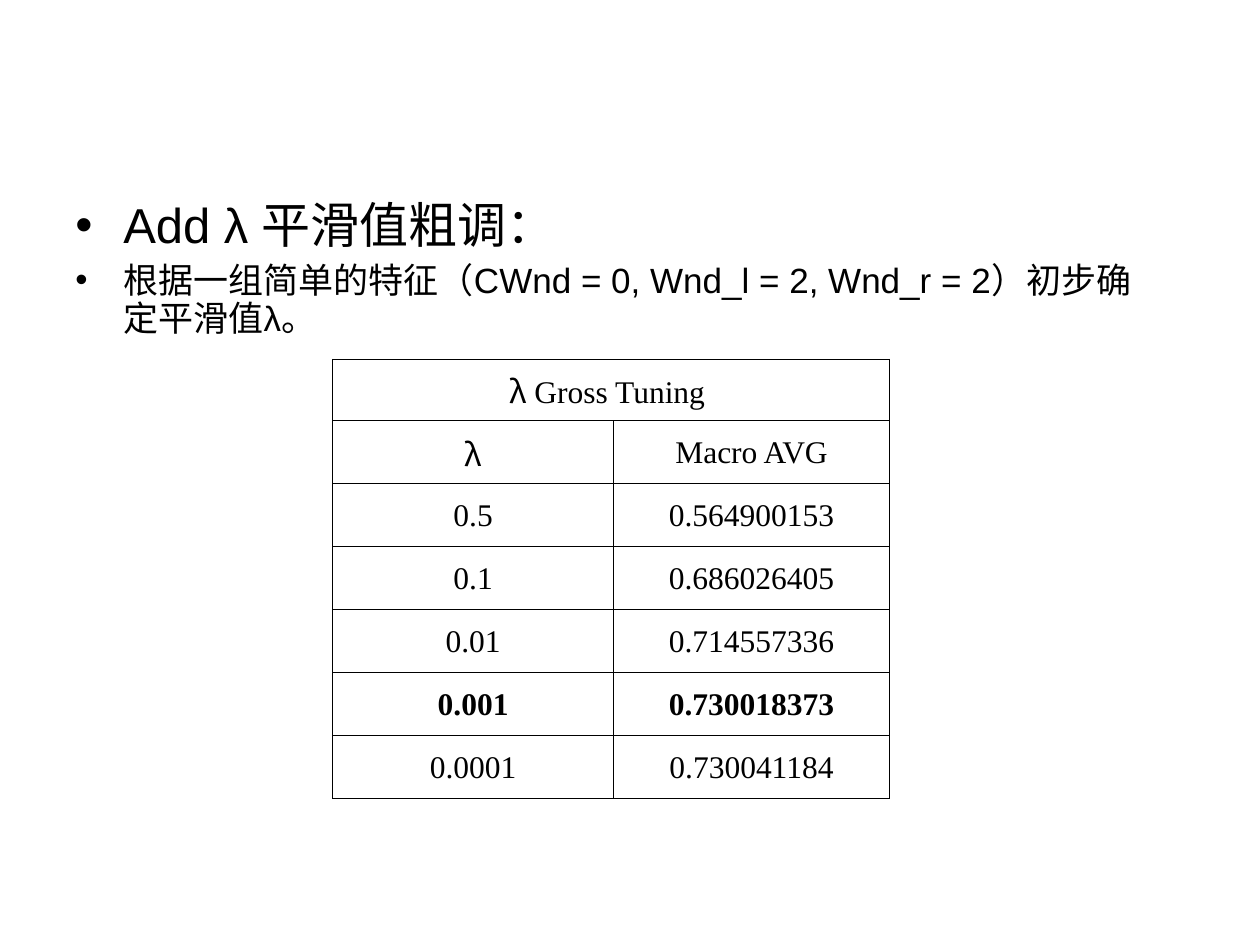
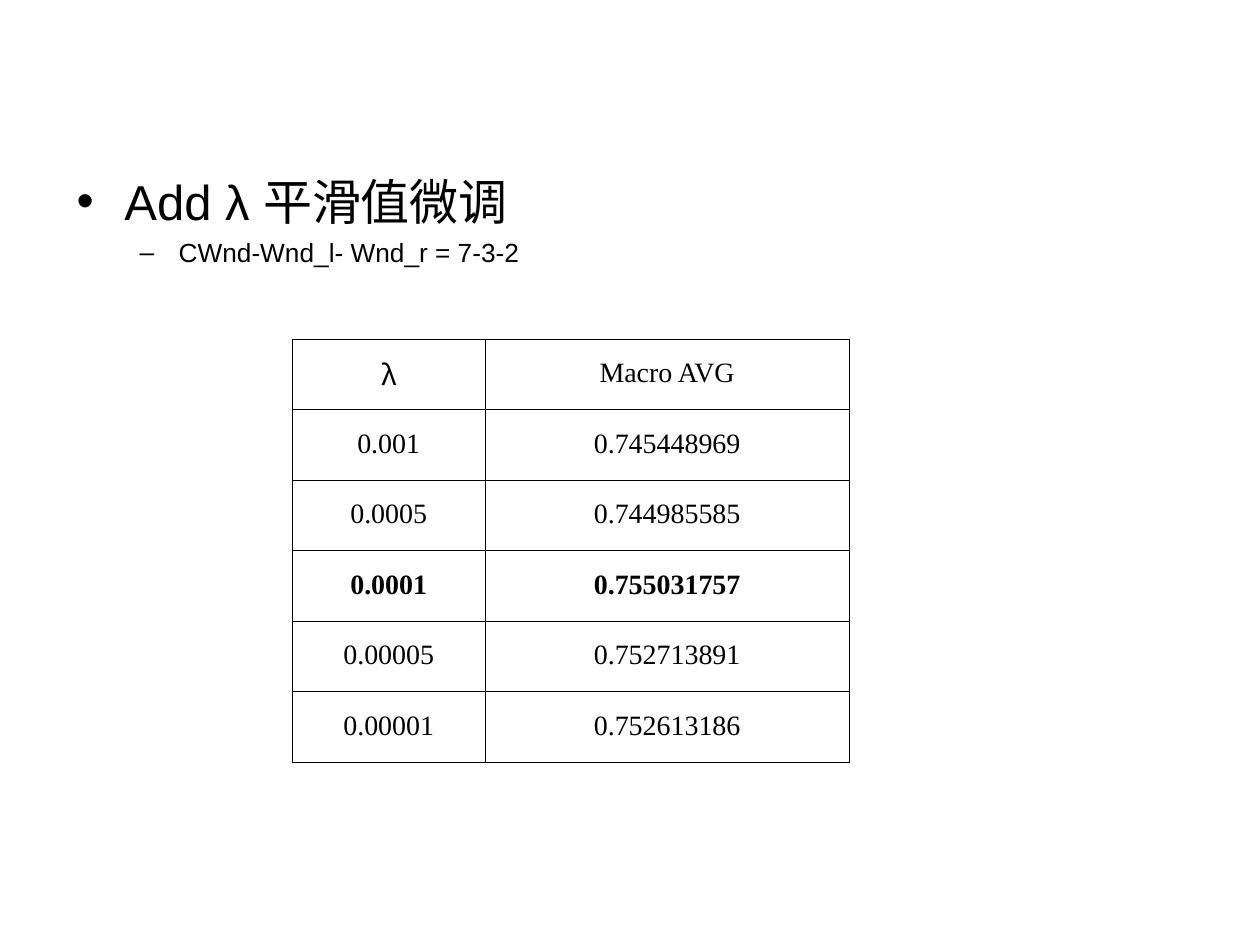
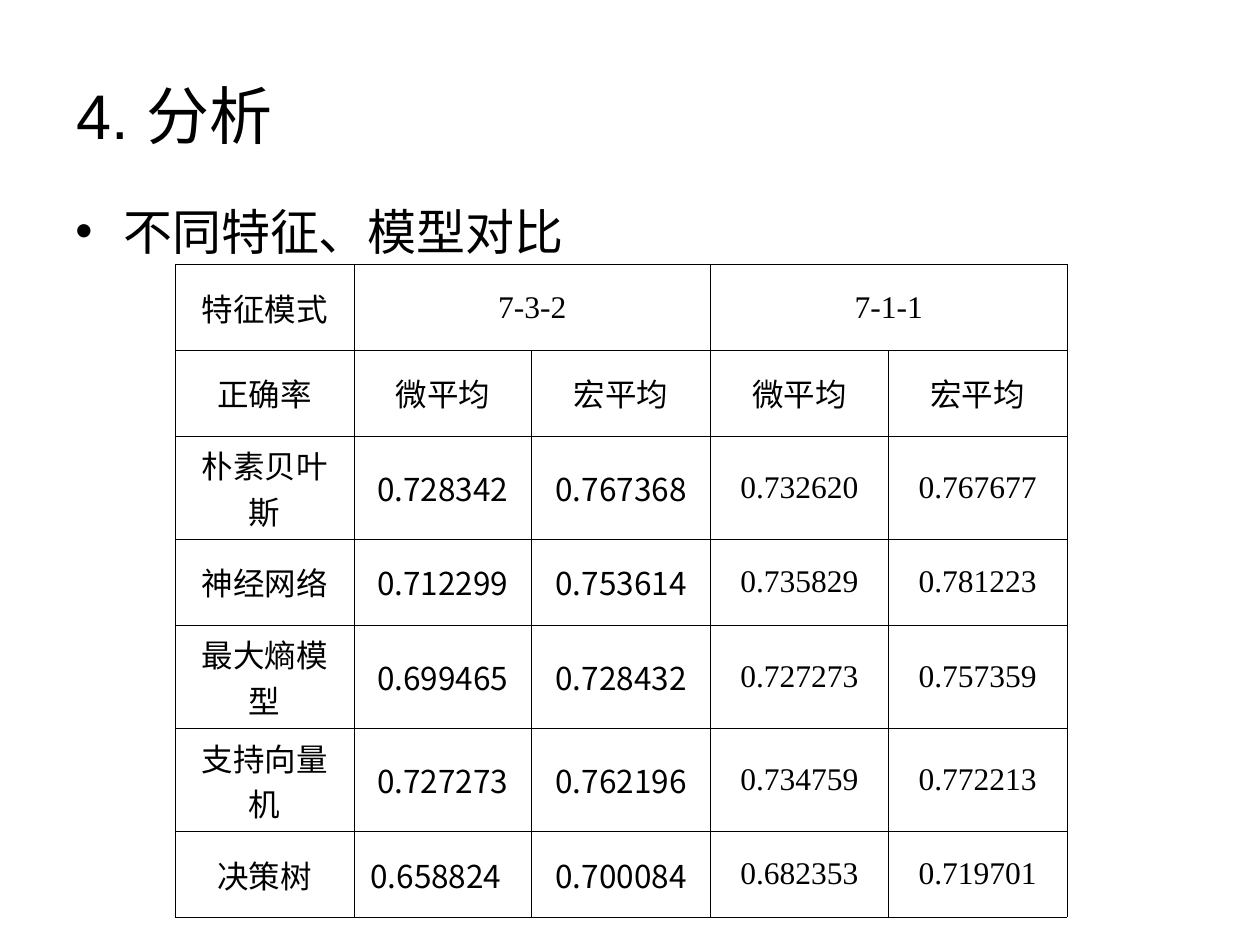
from lxml import etree
from pptx import Presentation
from pptx.dml.color import RGBColor
from pptx.enum import text
from pptx.oxml import ns
from pptx.util import Inches, Pt

COLORS = {"ink": "000000"}
SANS, SERIF, CJK = "Arial", "Times New Roman", "Noto Sans CJK SC"
BORDER_WIDTH = Pt(0.45)

# Bullet levels: character, left margin and hanging indent in inches
LEVELS = [("•", 0.38, -0.38), ("–", 0.81, -0.31)]

# Bullets: (text, level, size, space before)
# Tables: a None cell continues the merged cell on its left
SLIDES = [
    {
        "body": {
            "at": (0.5, 1.55, 8.75, 1.34),
            "line_spacing": 0.9,
            "bullets": [
                ("Add λ 平滑值粗调：", 0, 28, 0),
                ("根据一组简单的特征（CWnd = 0, Wnd_l = 2, Wnd_r = 2）初步确定平滑值λ。", 0, 20, 5),
            ],
        },
        "table": {
            "at": (2.64, 2.85),
            "columns": [2.23, 2.19],
            "row_heights": [0.49] + [0.5] * 6,
            "size": 18,
            "bold_row": 5,
            "rows": [
                ("λ Gross Tuning ", None),
                ("λ", "Macro AVG"),
                ("0.5", "0.564900153"),
                ("0.1", "0.686026405"),
                ("0.01", "0.714557336"),
                ("0.001", "0.730018373"),
                ("0.0001", "0.730041184"),
            ],
        },
    },
    {
        "body": {
            "at": (0.51, 1.31, 8.83, 1.34),
            "bullets": [
                ("Add λ 平滑值微调", 0, 28, 0),
                ("CWnd-Wnd_l- Wnd_r = 7-3-2", 1, 15, 3.7),
            ],
        },
        "table": {
            "at": (2.32, 2.69),
            "columns": [1.53, 2.89],
            "row_heights": [0.56] * 6,
            "size": 16,
            "line_spacing": 0.9,
            "bold_row": 3,
            "rows": [
                ("λ", "Macro AVG"),
                ("0.001", "0.745448969"),
                ("0.0005", "0.744985585"),
                ("0.0001", "0.755031757"),
                ("0.00005", "0.752713891"),
                ("0.00001", "0.752613186"),
            ],
        },
    },
    {
        "title": "4. 分析",
        "body": {
            "at": (0.5, 1.55, 8.6, 0.87),
            "bullets": [("不同特征、模型对比", 0, 28, 0)],
        },
        "table": {
            "at": (1.39, 2.1),
            "columns": [1.42, 1.41, 1.42, 1.41, 1.42],
            # Labels on two lines need the taller rows
            "row_heights": [0.68, 0.68, 0.82, 0.68, 0.82, 0.82, 0.68],
            "size": 18,
            "sans_columns": (1, 2),
            "header_rows": 2,
            "shifted_cell": (6, 1),
            "rows": [
                ("特征模式", "7-3-2", None, "7-1-1", None),
                ("正确率", "微平均", "宏平均", "微平均", "宏平均"),
                ("朴素贝叶斯", "0.728342", "0.767368", "0.732620", "0.767677"),
                ("神经网络", "0.712299", "0.753614", "0.735829", "0.781223"),
                ("最大熵模型", "0.699465", "0.728432", "0.727273", "0.757359"),
                ("支持向量机", "0.727273", "0.762196", "0.734759", "0.772213"),
                ("决策树", "0.658824", "0.700084", "0.682353", "0.719701"),
            ],
        },
    },
]


def style(font, name, size, bold=False):
    font.name, font.size, font.bold = name, Pt(size), bold
    font.color.rgb = RGBColor.from_string(COLORS["ink"])


def add_color(parent, tag):
    holder = etree.SubElement(parent, ns.qn(tag))
    etree.SubElement(holder, ns.qn("a:srgbClr"), val=COLORS["ink"])


def add_bullet(para, level):
    char, margin, indent = LEVELS[level]
    props = para._p.get_or_add_pPr()
    props.set("marL", str(Inches(margin)))
    props.set("indent", str(Inches(indent)))
    add_color(props, "a:buClr")
    etree.SubElement(props, ns.qn("a:buFont"), typeface=SANS)
    etree.SubElement(props, ns.qn("a:buChar"), char=char)


def add_box(page, at):
    box = page.shapes.add_textbox(*map(Inches, at))
    box.text_frame.word_wrap = True
    return box.text_frame


def add_title(page, title):
    frame = add_box(page, (0.51, 0.44, 9, 0.94))
    frame.vertical_anchor = text.MSO_ANCHOR.MIDDLE
    para = frame.paragraphs[0]
    para.text = title
    style(para.font, SANS, 36)


def add_body(page, body):
    frame = add_box(page, body["at"])
    for index, (words, level, size, before) in enumerate(body["bullets"]):
        para = frame.add_paragraph() if index else frame.paragraphs[0]
        para.text = words
        para.level = level
        add_bullet(para, level)
        para.line_spacing = body.get("line_spacing", 1.0)
        para.space_before = Pt(before)
        style(para.font, SANS, size)


def add_borders(cell):
    props = cell._tc.get_or_add_tcPr()
    for index, side in enumerate(("a:lnL", "a:lnR", "a:lnT", "a:lnB")):
        line = etree.Element(ns.qn(side), w=str(BORDER_WIDTH))
        add_color(line, "a:solidFill")
        props.insert(index, line)


def fill_cell(cell, words, font, size, bold, line_spacing):
    cell.vertical_anchor = text.MSO_ANCHOR.MIDDLE
    para = cell.text_frame.paragraphs[0]
    para.alignment = text.PP_ALIGN.CENTER
    para.line_spacing = line_spacing
    before, symbol, after = words.partition("λ")
    for part, part_font in ((before, font), (symbol, CJK), (after, font)):
        if part:
            span = para.add_run()
            span.text = part
            style(span.font, part_font, size, bold)


def add_table(page, data):
    rows, columns, heights = data["rows"], data["columns"], data["row_heights"]
    size = (sum(columns), sum(heights))
    frame = page.shapes.add_table(len(rows), len(columns), *map(Inches, data["at"] + size))
    table = frame.table
    table.first_row = table.horz_banding = False
    for column, width in zip(table.columns, columns):
        column.width = Inches(width)
    for row, height in zip(table.rows, heights):
        row.height = Inches(height)

    for r, row in enumerate(rows):
        for c, words in enumerate(row):
            cell = table.cell(r, c)
            cell.fill.background()
            add_borders(cell)
            if words is None:
                table.cell(r, c - 1).merge(cell)
                continue
            is_sans = r >= data.get("header_rows", 1) and c in data.get("sans_columns", ())
            fill_cell(cell, words, CJK if is_sans else SERIF, data["size"],
                      r == data.get("bold_row"), data.get("line_spacing", 1.0))
    if "shifted_cell" in data:
        table.cell(*data["shifted_cell"]).margin_right = Inches(0.21)


def main():
    deck = Presentation()
    deck.slide_width, deck.slide_height = Inches(10), Inches(7.5)
    for content in SLIDES:
        page = deck.slides.add_slide(deck.slide_layouts[6])
        if "title" in content:
            add_title(page, content["title"])
        add_body(page, content["body"])
        add_table(page, content["table"])
    deck.save("out.pptx")


if __name__ == "__main__":
    main()
